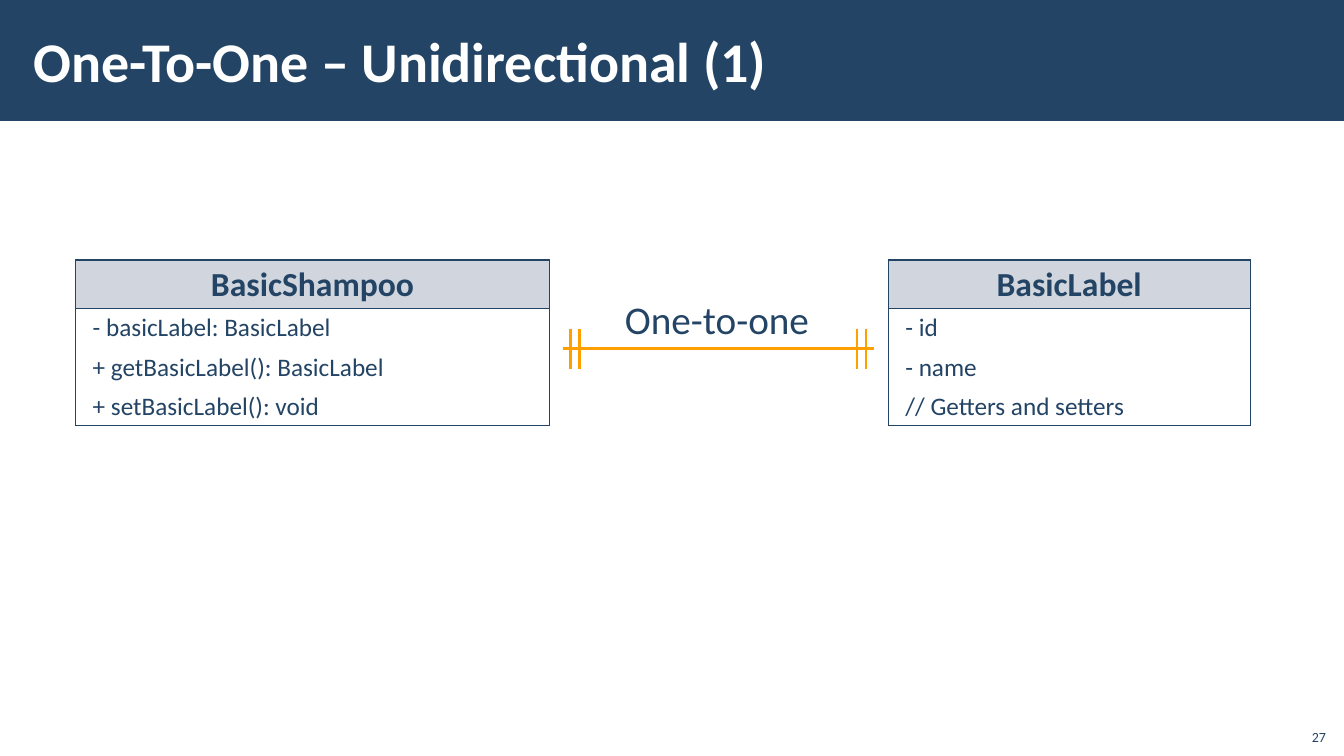
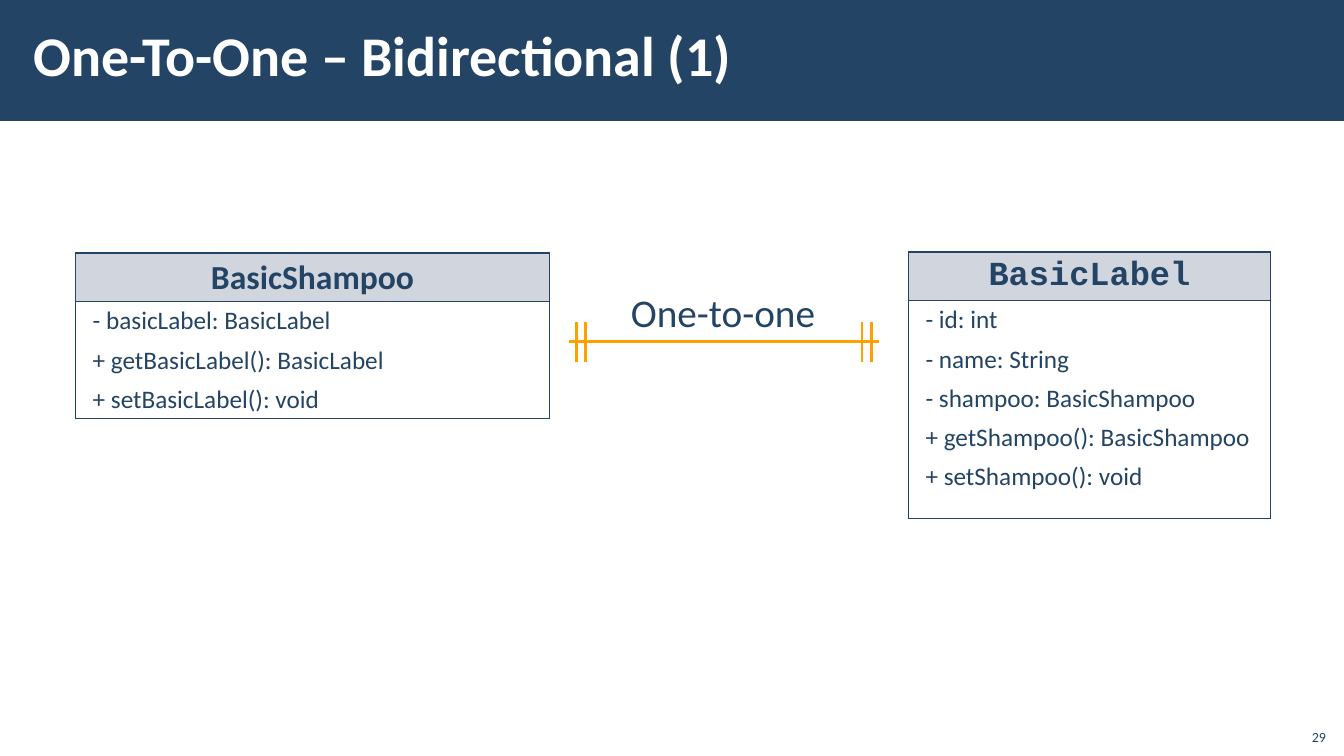
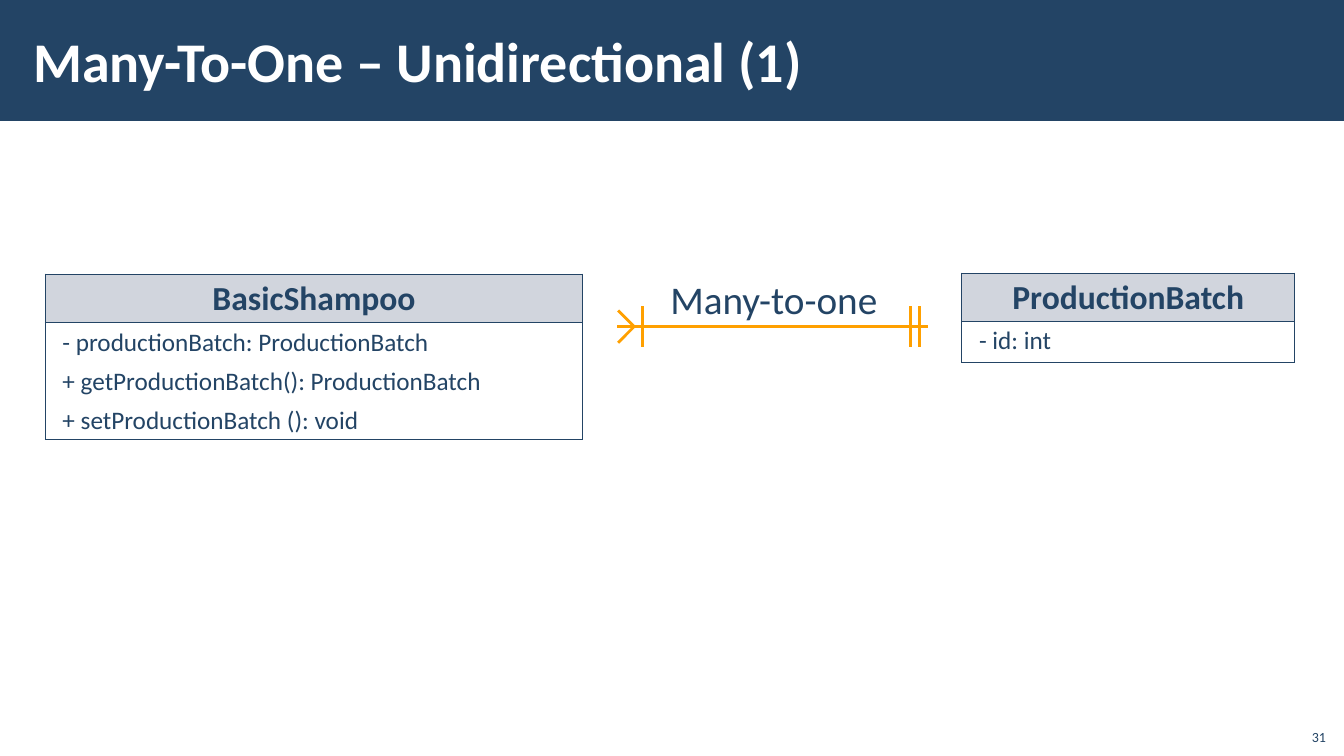
from lxml.etree import SubElement
from pptx import Presentation
from pptx.dml.color import RGBColor
from pptx.enum.shapes import MSO_CONNECTOR as Conn, MSO_SHAPE as Shape
from pptx.enum.text import MSO_ANCHOR as Anchor, MSO_AUTO_SIZE as AutoSize, PP_ALIGN as Align
from pptx.oxml import parse_xml
from pptx.oxml.ns import nsdecls, qn
from pptx.util import Pt

PX = 9144
SLIDE_W, SLIDE_H = 1333, 750
NAVY = RGBColor(0x23, 0x44, 0x65)
WHITE = RGBColor(0xFF, 0xFF, 0xFF)
AMBER = RGBColor(0xFF, 0xA0, 0x00)
HEAD_GRAY = RGBColor(0xD1, 0xD5, 0xDD)
SANS, MONO = "Calibri", "Courier New"
HEAD_H = 48
TICK_HALF = 20
TICK_GAPS = (8, 17)
CROW_SIZE = 16
CROW_TICK = 25


def px(*values):
    return [v * PX for v in values]


def set_font(p, size, color=NAVY, bold=False, name=SANS):
    p.font.name, p.font.size, p.font.bold = name, Pt(size), bold
    p.font.color.rgb = color


def add_text(slide, box, text, size, color=NAVY, bold=False,
             anchor=Anchor.TOP, align=Align.LEFT, wrap=True):
    tf = slide.shapes.add_textbox(*px(*box)).text_frame
    tf.word_wrap = wrap
    tf.vertical_anchor = anchor
    p = tf.paragraphs[0]
    p.text, p.alignment = text, align
    set_font(p, size, color, bold)
    return tf


def add_frame(prs, title, number, title_y=11):
    slide = prs.slides.add_slide(prs.slide_layouts[6])
    band = slide.shapes.add_shape(Shape.RECTANGLE, *px(0, 0, SLIDE_W, 120))
    band.shadow.inherit = False
    band.fill.solid()
    band.fill.fore_color.rgb = NAVY
    band.line.fill.background()
    tf = add_text(slide, (21, title_y, 1063, 97), title, 40, WHITE, True, Anchor.MIDDLE)
    tf.margin_left, tf.margin_right, tf.margin_top, tf.margin_bottom = px(12, 12, 4, 4)
    add_text(slide, (1285, 712, 40, 32), str(number), 10,
             anchor=Anchor.BOTTOM, align=Align.RIGHT)
    return slide


def add_line(slide, x1, y1, x2, y2):
    line = slide.shapes.add_connector(Conn.STRAIGHT, *px(x1, y1, x2, y2))
    line.line.color.rgb = AMBER
    line.line.width = Pt(2)
    SubElement(line._element.spPr, qn("a:effectLst"))


def add_borders(cell):
    tc_pr = cell._tc.get_or_add_tcPr()
    for i, side in enumerate(("lnL", "lnR", "lnT", "lnB")):
        tc_pr.insert(i, parse_xml(
            f'<a:{side} {nsdecls("a")} w="12700"><a:solidFill>'
            f'<a:srgbClr val="{NAVY}"/></a:solidFill></a:{side}>'))


def fill_cell(cell, lines, size, bold=False, align=Align.LEFT, name=SANS):
    cell.margin_left, cell.margin_right, cell.margin_top, cell.margin_bottom = px(17, 17, 5, 5)
    cell.text = "\n".join(lines)
    for p in cell.text_frame.paragraphs:
        p.alignment = align
        p.line_spacing = 0.95
        p.space_before = Pt(0.4 * size)
        set_font(p, size, bold=bold, name=name)
    add_borders(cell)


def add_class(slide, box, name, members, head_font=SANS):
    x, y, w, h = box
    table = slide.shapes.add_table(2, 1, *px(x, y, w, h)).table
    table.first_row = table.horz_banding = False
    table.columns[0].width = w * PX
    table.rows[0].height, table.rows[1].height = px(HEAD_H, h - HEAD_H)
    head, body = table.cell(0, 0), table.cell(1, 0)
    head.fill.solid()
    head.fill.fore_color.rgb = HEAD_GRAY
    body.fill.background()
    fill_cell(head, [name], 24, True, Align.CENTER, head_font)
    fill_cell(body, members, 18)


def add_relation(slide, x, y, w, label, label_box, many=False):
    add_line(slide, x, y, x + w, y)
    ticks = [x + w - gap for gap in TICK_GAPS]
    if many:
        for side in (-1, 1):
            add_line(slide, x + 1, y + side * CROW_SIZE, x + 1 + CROW_SIZE, y)
        ticks.append(x + CROW_TICK)
    else:
        ticks += [x + gap for gap in TICK_GAPS]
    for tick_x in ticks:
        add_line(slide, tick_x, y - TICK_HALF, tick_x, y + TICK_HALF)
    dx, dy, label_w = label_box
    tf = add_text(slide, (x + dx, y + dy, label_w, 57), label, 28, wrap=False)
    tf.auto_size = AutoSize.SHAPE_TO_FIT_TEXT


def main():
    prs = Presentation()
    prs.slide_width, prs.slide_height = px(SLIDE_W, SLIDE_H)
    shampoo = ("BasicShampoo", ["- basicLabel: BasicLabel",
                                "+ getBasicLabel(): BasicLabel",
                                "+ setBasicLabel(): void"])
    one_to_one = ("One-to-one", (52, -58, 205))

    slide = add_frame(prs, "One-To-One – Unidirectional (1)", 27)
    add_relation(slide, 558, 346, 309, *one_to_one)
    add_class(slide, (75, 258, 470, 164), *shampoo)
    add_class(slide, (881, 258, 359, 164), "BasicLabel",
              ["- id", "- name", "// Getters and setters"])

    slide = add_frame(prs, "One-To-One – Bidirectional (1)", 29, title_y=5)
    add_relation(slide, 564, 339, 308, *one_to_one)
    add_class(slide, (75, 251, 470, 164), *shampoo)
    add_class(slide, (901, 250, 359, 264), "BasicLabel",
              ["- id: int", "- name: String", "- shampoo: BasicShampoo",
               "+ getShampoo(): BasicShampoo", "+ setShampoo(): void"], MONO)

    slide = add_frame(prs, "Many-To-One – Unidirectional (1)", 31)
    add_relation(slide, 612, 324, 308, "Many-to-one", (43, -56, 229), many=True)
    add_class(slide, (45, 272, 533, 164), "BasicShampoo",
              ["- productionBatch: ProductionBatch",
               "+ getProductionBatch(): ProductionBatch",
               "+ setProductionBatch (): void"])
    add_class(slide, (954, 271, 330, 89), "ProductionBatch", ["- id: int"])

    prs.save("out.pptx")


if __name__ == "__main__":
    main()
